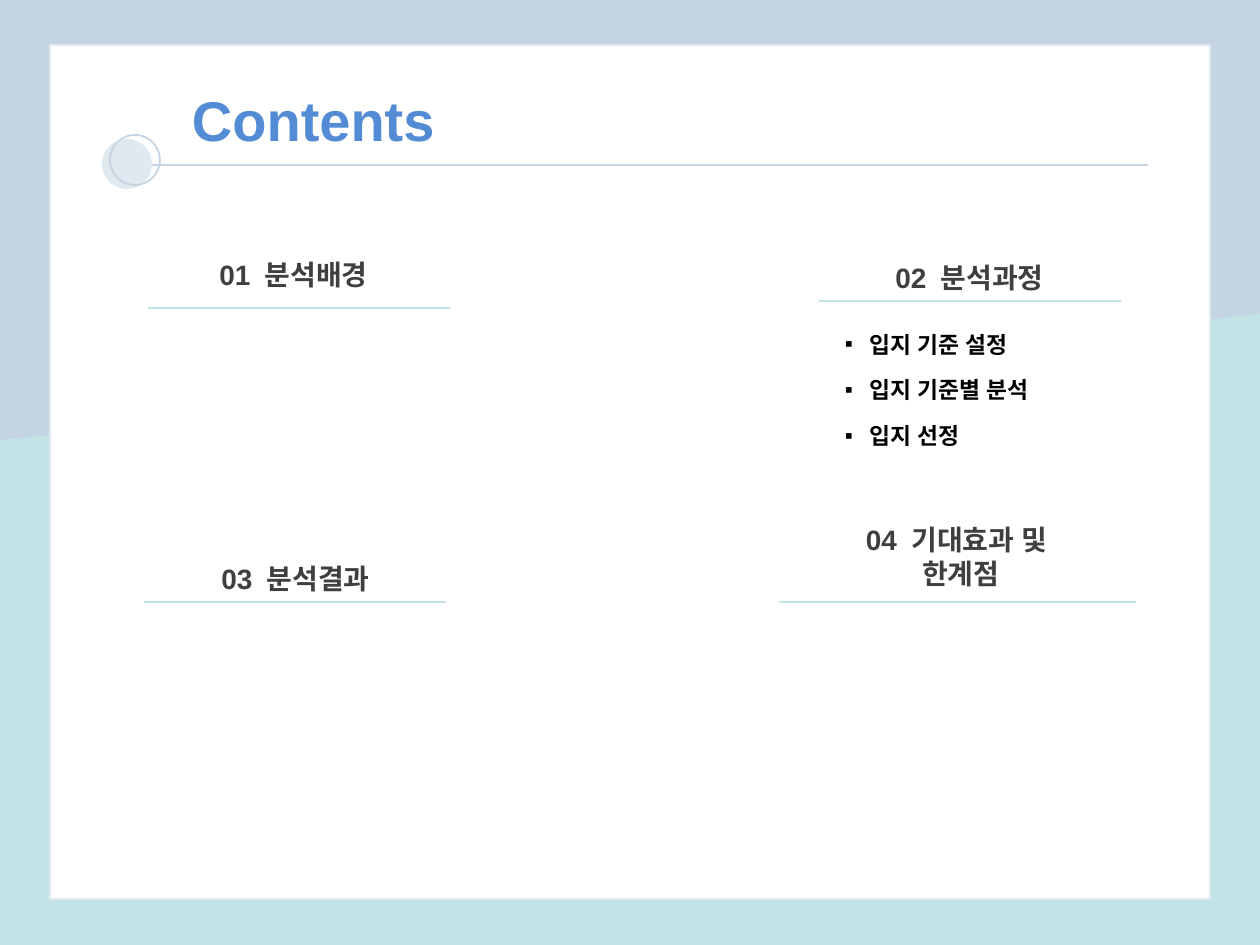
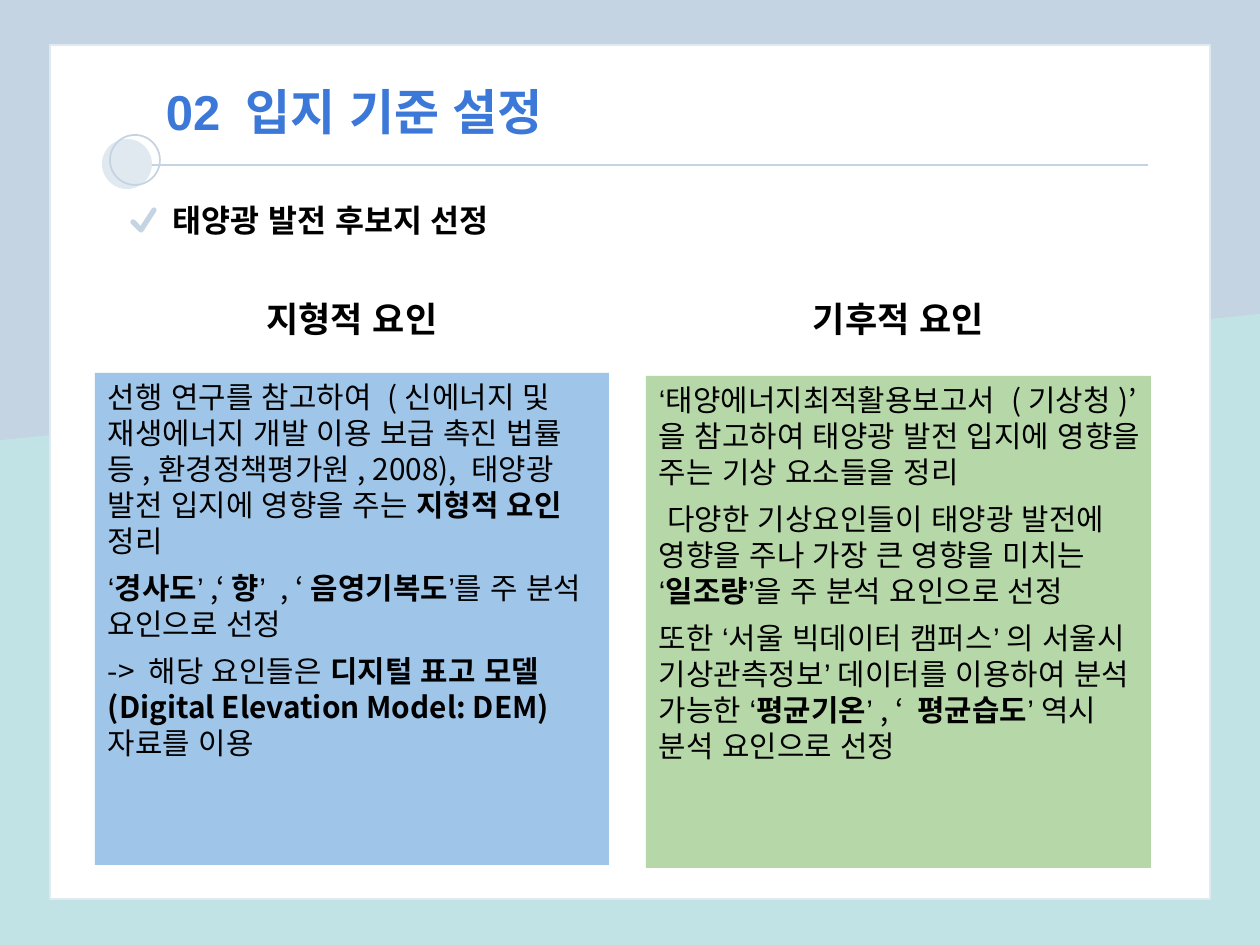
"""Build the contents slide and the site criteria slide of a solar power study."""
from lxml import etree
from pptx import Presentation
from pptx.dml.color import RGBColor
from pptx.enum.lang import MSO_LANGUAGE_ID
from pptx.enum.shapes import MSO_CONNECTOR, MSO_SHAPE
from pptx.enum.text import MSO_ANCHOR, PP_ALIGN
from pptx.oxml.ns import qn
from pptx.util import Emu, Pt

STRAIGHT = MSO_CONNECTOR.STRAIGHT
CARD, RECTANGLE, OVAL = MSO_SHAPE.ROUNDED_RECTANGLE, MSO_SHAPE.RECTANGLE, MSO_SHAPE.OVAL
SLOPED_BAND = MSO_SHAPE.FLOWCHART_MANUAL_INPUT
LEFT, CENTER = PP_ALIGN.LEFT, PP_ALIGN.CENTER
TOP = MSO_ANCHOR.TOP
KOREAN_LANGUAGE = MSO_LANGUAGE_ID.KOREAN

EMU_PER_PX = 914400 / 126
LATIN, KOREAN = "Arial", "Noto Sans CJK KR"
KOREAN_LEADING = 1.21
COLORS = {
    "sky": "C4D4E2",
    "mint": "C1E3E5",
    "mist": "E0E8F0",
    "white": "FFFFFF",
    "black": "000000",
    "heading": "3F3F3F",
    "contents": "538CD5",
    "title": "3C78D8",
    "terrain": "9FC5E8",
    "climate": "B6D7A8",
}

SECTIONS = [
    (156, 252, 275, ["01 분석배경"], (148, 450, 308)),
    (832, 255, 275, ["02 분석과정"], (819, 1121, 301)),
    (158, 556, 275, ["03 분석결과"], (144, 446, 602)),
    (798, 517, 325, ["04 기대효과 및 ", "한계점"], (779, 1136, 602)),
]
PROCESS_STEPS = ["입지 기준 설정", "입지 기준별 분석", "입지 선정"]

TERRAIN_NOTES = [
    "선행 연구를 참고하여 (신에너지 및 재생에너지 개발 이용 보급 촉진 법률 등,환경정책평가원, 2008), "
    "태양광 발전 입지에 영향을 주는 *지형적 요인* 정리",
    "‘*경사도*’,‘*향*’ , ‘*음영기복도*’를 주 분석 요인으로 선정",
    "-> 해당 요인들은 *디지털 표고 모델(Digital Elevation Model: DEM)* 자료를 이용",
]
CLIMATE_NOTES = [
    "‘태양에너지최적활용보고서 (기상청)’ 을 참고하여 태양광 발전 입지에 영향을 주는 기상 요소들을 정리",
    " 다양한 기상요인들이 태양광 발전에 영향을 주나 가장 큰 영향을 미치는 ‘*일조량*’을 주 분석 요인으로 선정",
    "또한 ‘서울 빅데이터 캠퍼스’ 의 서울시 기상관측정보’ 데이터를 이용하여 분석 가능한 "
    "‘*평균기온*’, ‘ *평균습도*’ 역시 분석 요인으로 선정",
]
FACTORS = [
    ("지형적 요인", TERRAIN_NOTES, "terrain", 95, 373, 514),
    ("기후적 요인", CLIMATE_NOTES, "climate", 646, 376, 505),
]


def px(length):
    """Turn a length in px into EMU."""
    return Emu(round(length * EMU_PER_PX))


def color(name):
    """Look up a palette colour."""
    return RGBColor.from_string(COLORS[name])


def add_filled_shape(slide, kind, left, top, width, height, fill=None, line=None):
    """Add a preset shape with an optional fill and outline."""
    shape = slide.shapes.add_shape(kind, px(left), px(top), px(width), px(height))
    shape.shadow.inherit = False
    if fill:
        shape.fill.solid()
        shape.fill.fore_color.rgb = color(fill)
    else:
        shape.fill.background()
    if line:
        shape.line.color.rgb = color(line)
        shape.line.width = Pt(1)
    else:
        shape.line.fill.background()
    return shape


def add_rule(slide, left, right, y, line):
    """Add a horizontal rule."""
    rule = slide.shapes.add_connector(STRAIGHT, px(left), px(y), px(right), px(y))
    rule.line.color.rgb = color(line)
    rule.line.width = Pt(1.5)
    etree.SubElement(rule._element.spPr, qn("a:effectLst"))


def set_font(font, name, size, fill, bold):
    """Format a font, taking spaces and quotes in Korean text from the Latin face."""
    font.name = name
    font.size = Pt(size)
    font.bold = bold
    font.color.rgb = color(fill)
    font.language_id = KOREAN_LANGUAGE
    east_asian = etree.Element(qn("a:ea"), typeface=LATIN)
    font._element.find(qn("a:latin")).addnext(east_asian)


def prepare_frame(shape, inset_top=6, inset_right=13):
    """Set the wrapping, anchor and insets of a text frame."""
    frame = shape.text_frame
    frame.word_wrap = True
    frame.vertical_anchor = TOP
    frame.margin_left, frame.margin_right = px(13), px(inset_right)
    frame.margin_top, frame.margin_bottom = px(inset_top), px(6)
    return frame


def add_text(slide, left, top, width, height, lines, size, fill="black",
             font=LATIN, align=LEFT, inset_top=6):
    """Add a bold text box with one paragraph per line."""
    box = slide.shapes.add_textbox(px(left), px(top), px(width), px(height))
    frame = prepare_frame(box, inset_top)
    frame.text = "\n".join(lines)
    for paragraph in frame.paragraphs:
        paragraph.alignment = align
        if font == KOREAN:
            paragraph.line_spacing = Pt(size * KOREAN_LEADING)
        for run in paragraph.runs:
            set_font(run.font, font, size, fill, True)
    return box


def add_bullets(box, spacing):
    """Give every paragraph of a box a square bullet."""
    for paragraph in box.text_frame.paragraphs:
        paragraph.line_spacing = spacing
        properties = paragraph._p.get_or_add_pPr()
        properties.set("marL", str(px(25)))
        properties.set("indent", str(-px(25)))
        bullet_color = etree.SubElement(properties, qn("a:buClr"))
        etree.SubElement(bullet_color, qn("a:srgbClr"), val=COLORS["black"])
        etree.SubElement(properties, qn("a:buFont"), typeface=LATIN)
        etree.SubElement(properties, qn("a:buChar"), char="▪")


def add_notes_panel(slide, left, top, width, notes, fill):
    """Add a coloured panel of notes, with bold between asterisks."""
    panel = add_filled_shape(slide, RECTANGLE, left, top, width, 492, fill)
    frame = prepare_frame(panel, 5, 10)
    for index, note in enumerate(notes):
        paragraph = frame.add_paragraph() if index else frame.paragraphs[0]
        paragraph.alignment = LEFT
        paragraph.line_spacing = Pt(17 * KOREAN_LEADING)
        paragraph._p.get_or_add_pPr().set("hangingPunct", "0")
        if index:
            paragraph.space_before = Pt(6.4)
        for part, text in enumerate(note.split("*")):
            run = paragraph.add_run()
            run.text = text
            set_font(run.font, KOREAN, 17, "black", part % 2 == 1)


def add_check_mark(slide):
    """Add the check mark in front of the subtitle."""
    builder = slide.shapes.build_freeform(133, 222, EMU_PER_PX)
    builder.add_line_segments([(141, 230), (154, 210)], close=False)
    check = builder.convert_to_shape()
    check.shadow.inherit = False
    check.fill.background()
    check.line.color.rgb = color("sky")
    check.line.width = Pt(3)
    line = check.line._get_or_add_ln()
    line.set("cap", "rnd")
    etree.SubElement(line, qn("a:round"))


def add_framed_slide(presentation):
    """Add a blank slide with the shared backdrop, card and title rule."""
    slide = presentation.slides.add_slide(presentation.slide_layouts[6])
    slide.background.fill.solid()
    slide.background.fill.fore_color.rgb = color("sky")
    add_filled_shape(slide, SLOPED_BAND, 0, 314, 1260, 631, "mint")
    card = add_filled_shape(slide, CARD, 50, 45, 1160, 854, "white", "mist")
    card.adjustments[0] = 0
    add_rule(slide, 112, 1148, 165, "sky")
    add_filled_shape(slide, OVAL, 102, 139, 50, 50, "mist")
    add_filled_shape(slide, OVAL, 110, 135, 50, 50, line="sky")
    return slide


def build_contents(presentation):
    """Build the contents slide."""
    slide = add_framed_slide(presentation)
    add_text(slide, 179, 79, 286, 81, ["Contents"], 32, "contents")
    for left, top, width, lines, (start, end, y) in SECTIONS:
        add_rule(slide, start, end, y, "mint")
        add_text(slide, left, top, width, 14 + 33 * len(lines), lines, 16,
                 "heading", align=CENTER)
    steps = add_text(slide, 832, 306, 275, 150, PROCESS_STEPS, 13)
    add_bullets(steps, 1.67)


def build_criteria(presentation):
    """Build the site criteria slide."""
    slide = add_framed_slide(presentation)
    add_text(slide, 153, 75, 456, 72, ["02 입지 기준 설정"], 28, "title")
    add_check_mark(slide)
    add_text(slide, 160, 190, 437, 72, ["태양광 발전 후보지 선정"], 18,
             font=KOREAN, inset_top=11)
    for heading, notes, fill, left, top, width in FACTORS:
        add_text(slide, left, 292, width, 80, [heading], 20,
                 font=KOREAN, align=CENTER, inset_top=5)
        add_notes_panel(slide, left, top, width, notes, fill)


def main():
    """Build and save the presentation."""
    presentation = Presentation()
    presentation.slide_width, presentation.slide_height = px(1260), px(945)
    build_contents(presentation)
    build_criteria(presentation)
    presentation.save("out.pptx")


if __name__ == "__main__":
    main()
